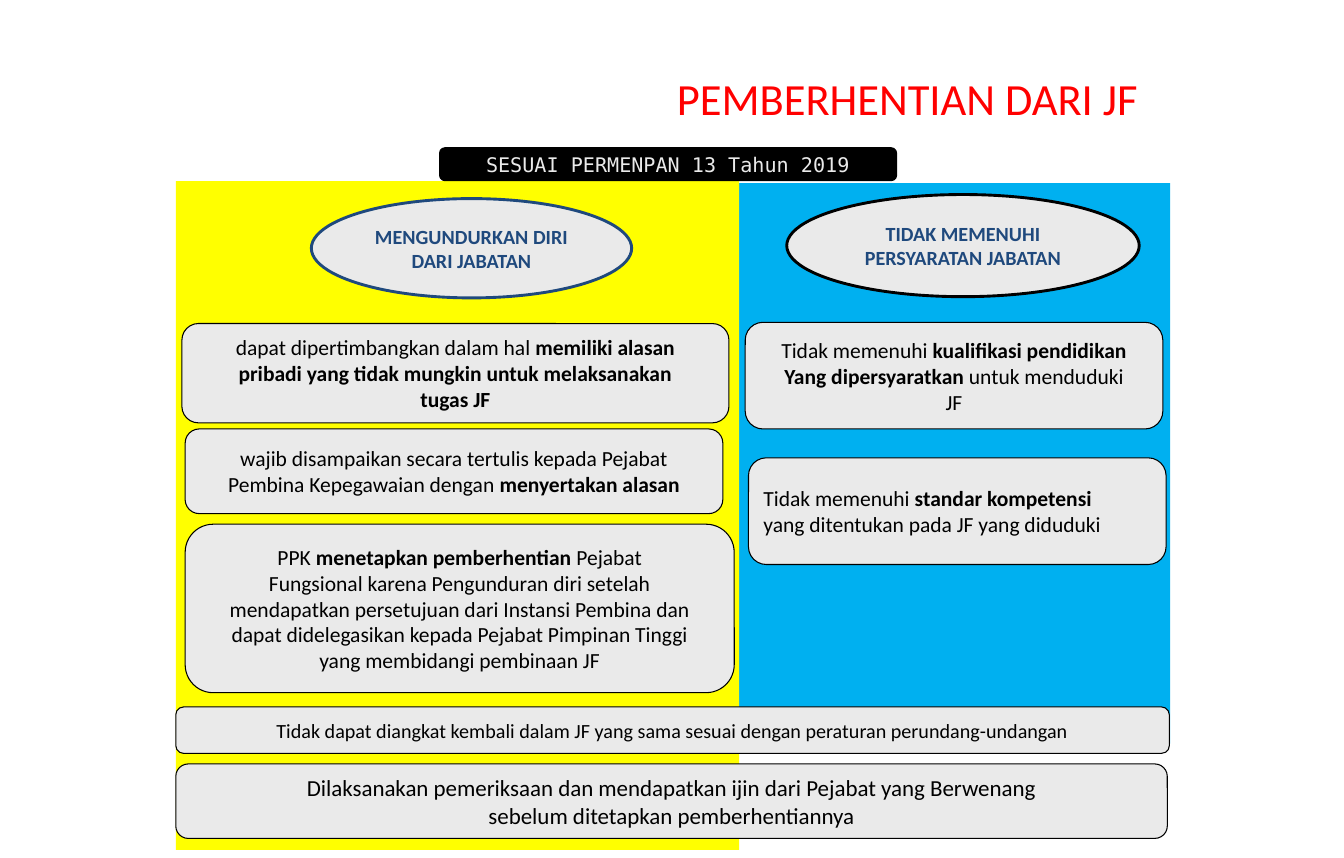
import pptx
import pptx.util
import pptx.dml.color
import pptx.enum.shapes
import pptx.enum.text

Cm, Pt = pptx.util.Cm, pptx.util.Pt
KIND = pptx.enum.shapes.MSO_SHAPE
ALIGN = pptx.enum.text.PP_ALIGN
MIDDLE = pptx.enum.text.MSO_ANCHOR.MIDDLE

BLACK, GREY, NAVY = "000000", "EAEAEA", "1F497D"
SANS, MONO = "Calibri", "DejaVu Sans Mono"

# Boxes are left, top, width, height in cm; *stars* mark bold words.
TITLE = "PEMBERHENTIAN DARI JF"
BANNER = "SESUAI PERMENPAN 13 Tahun 2019"
PANELS = [
    ((18.03, 4.5, 10.72, 13.77), "00B0F0"),
    ((4.32, 4.45, 13.84, 16.43), "FFFF00"),
]
HEADS = [
    ((7.65, 4.88, 7.87, 2.44), NAVY, "*MENGUNDURKAN DIRI DARI JABATAN*"),
    ((19.33, 4.78, 8.66, 2.51), BLACK, "*TIDAK MEMENUHI PERSYARATAN JABATAN*"),
]
CARDS = [
    ((4.47, 7.95, 13.44, 2.44), 15, ALIGN.CENTER, [
        "dapat dipertimbangkan dalam hal *memiliki alasan*",
        "*pribadi yang tidak mungkin untuk melaksanakan*",
        "*tugas JF*"]),
    ((4.55, 10.54, 13.21, 2.08), 15, ALIGN.CENTER, [
        "wajib disampaikan secara tertulis kepada Pejabat",
        "Pembina Kepegawaian dengan *menyertakan alasan*"]),
    ((4.55, 12.88, 13.49, 4.14), 15, ALIGN.CENTER, [
        "PPK *menetapkan pemberhentian* Pejabat",
        "Fungsional karena Pengunduran diri setelah",
        "mendapatkan persetujuan dari Instansi Pembina dan",
        "dapat didelegasikan kepada Pejabat Pimpinan Tinggi",
        "yang membidangi pembinaan JF"]),
    ((18.31, 7.92, 10.26, 2.62), 15, ALIGN.CENTER, [
        "Tidak memenuhi *kualifikasi pendidikan*",
        "*Yang dipersyaratkan* untuk menduduki",
        "JF"]),
    ((18.39, 11.25, 10.26, 2.62), 15, ALIGN.LEFT, [
        "Tidak memenuhi *standar kompetensi*",
        "yang ditentukan pada JF yang diduduki"]),
    ((4.32, 17.37, 24.41, 1.14), 14, ALIGN.CENTER, [
        "Tidak dapat diangkat kembali dalam JF yang sama sesuai dengan "
        "peraturan perundang-undangan"]),
    ((4.32, 18.77, 24.36, 1.83), 16, ALIGN.CENTER, [
        "Dilaksanakan pemeriksaan dan mendapatkan ijin dari Pejabat yang Berwenang",
        "sebelum ditetapkan pemberhentiannya"]),
]


def rgb(code):
    return pptx.dml.color.RGBColor.from_string(code)


def draw(kind, box, fill, line=None, width=0.75):
    shape = slide.shapes.add_shape(kind, *map(Cm, box))
    shape.shadow.inherit = False
    shape.fill.solid()
    shape.fill.fore_color.rgb = rgb(fill)
    if line:
        shape.line.color.rgb = rgb(line)
        shape.line.width = Pt(width)
    else:
        shape.line.fill.background()
    return shape


def write(shape, lines, size, color, font=SANS, align=ALIGN.CENTER, pad=(0.24, 0.13)):
    """Put one paragraph per line, with starred words in bold."""
    frame = shape.text_frame
    frame.word_wrap = True
    frame.vertical_anchor = MIDDLE
    frame.margin_left = frame.margin_right = Cm(pad[0])
    frame.margin_top = frame.margin_bottom = Cm(pad[1])
    for i, text in enumerate(lines):
        para = frame.add_paragraph() if i else frame.paragraphs[0]
        para.alignment = align
        para.font.size = Pt(size)
        para.font.name = font
        para.font.color.rgb = rgb(color)
        for j, part in enumerate(text.split("*")):
            if part:
                run = para.add_run()
                run.text = part
                if j % 2:
                    run.font.bold = True


deck = pptx.Presentation()
deck.slide_width, deck.slide_height = Cm(33.02), Cm(21.08)
slide = deck.slides.add_slide(deck.slide_layouts[6])

for box, fill in PANELS:
    draw(KIND.RECTANGLE, box, fill)

title = slide.shapes.add_textbox(Cm(11.56), Cm(1.45), Cm(21.46), Cm(1.88))
write(title, [TITLE], 31, "FF0000", pad=(0.33, 0.18))

for box, line, text in HEADS:
    oval = draw(KIND.OVAL, box, GREY, line, 2)
    write(oval, [text], 14, NAVY, pad=(0.3, 0.15))

for box, size, align, lines in CARDS:
    card = draw(KIND.ROUNDED_RECTANGLE, box, GREY, BLACK)
    write(card, lines, size, BLACK, align=align)

banner = draw(KIND.ROUNDED_RECTANGLE, (10.8, 3.63, 11.23, 0.81), BLACK, BLACK)
write(banner, [BANNER], 14, GREY, MONO)

deck.save("out.pptx")
